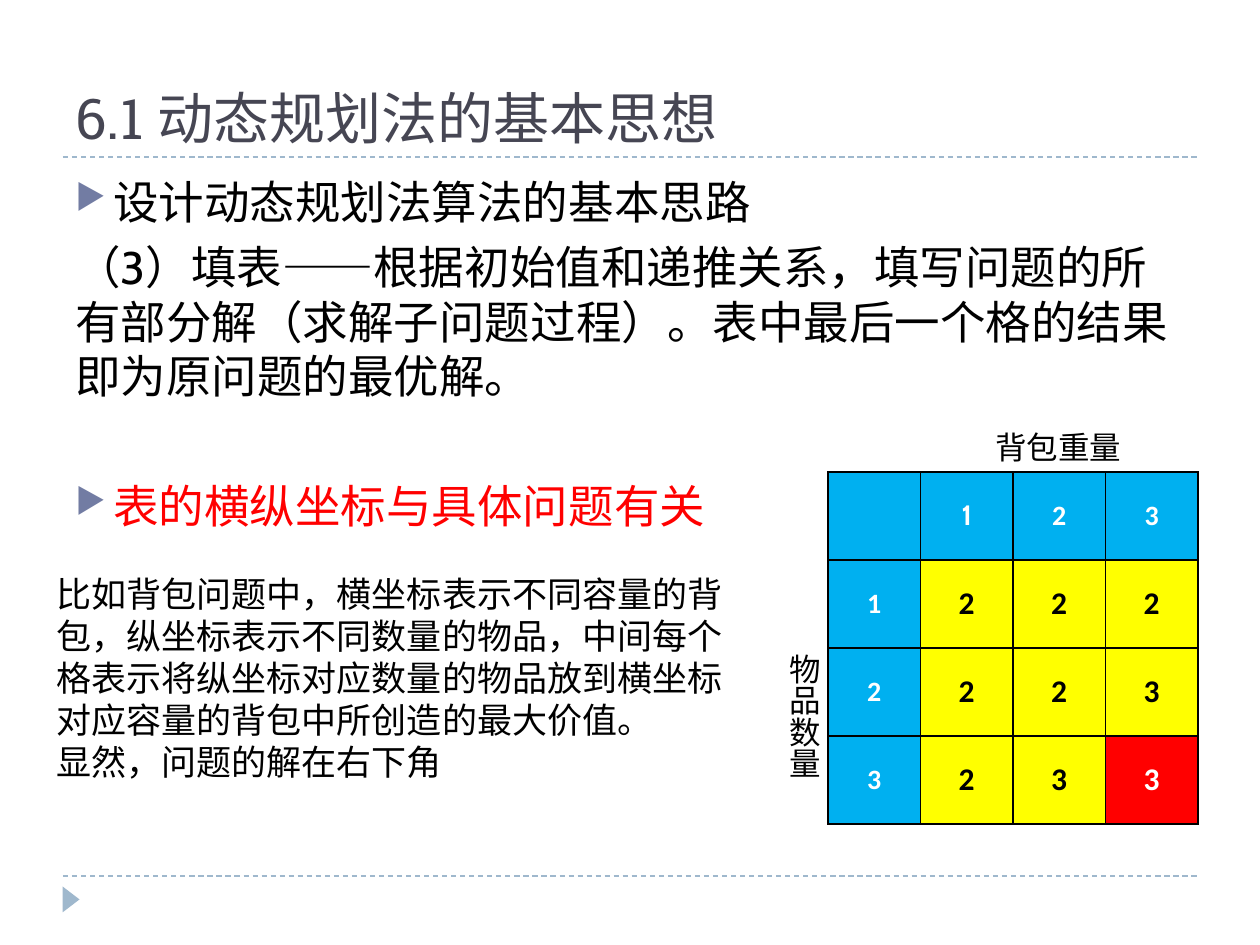
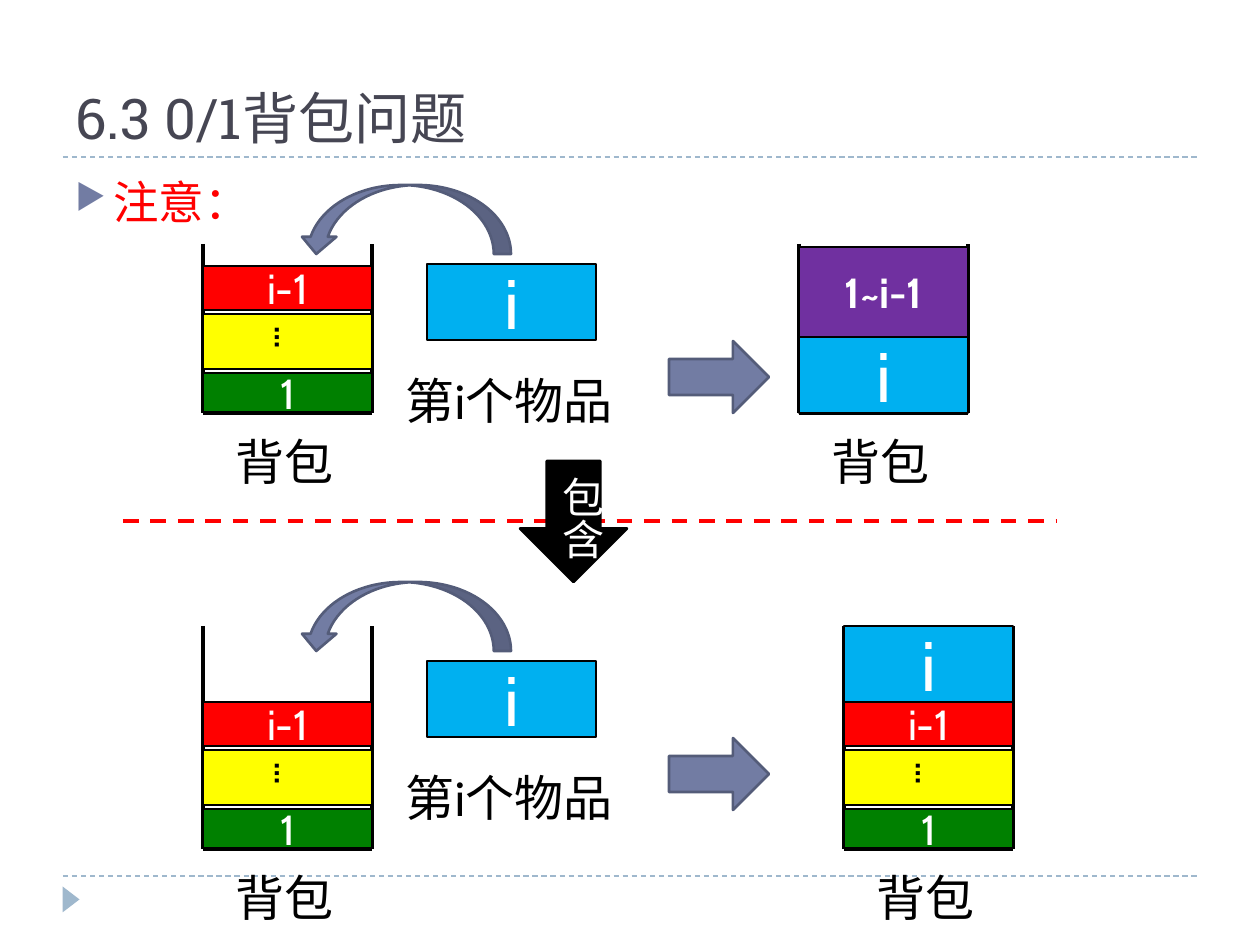
import dataclasses
import itertools

import lxml.etree
import pptx
import pptx.dml.color
import pptx.enum.dml
import pptx.enum.shapes
import pptx.enum.text
import pptx.oxml
import pptx.oxml.ns
import pptx.util

PIXEL = 7257  # EMU in one pixel at 126 pixels to the inch
SHAPE = pptx.enum.shapes.MSO_SHAPE
ALIGN = pptx.enum.text.PP_ALIGN
ANCHOR = pptx.enum.text.MSO_ANCHOR
FIT = pptx.enum.text.MSO_AUTO_SIZE
Color = pptx.dml.color.RGBColor.from_string
Pt = pptx.util.Pt
qn = pptx.oxml.ns.qn


@dataclasses.dataclass(frozen=True)
class Theme:
    """Colours (RRGGBB) and type styles shared by the pages."""
    black: str = "000000"
    white: str = "FFFFFF"
    red: str = "FF0000"
    yellow: str = "FFFF00"
    green: str = "008000"
    purple: str = "7030A0"
    sky: str = "00B0F0"
    accent: str = "727CA3"
    accent_edge: str = "545C79"
    pale: str = "9FB8CD"
    heading: str = "464653"
    styles = {
        "title": {"name": "Roboto Slab", "size": Pt(32)},
        "body": {"name": "Cabin", "size": Pt(26)},
        "example": {"name": "Calibri", "size": Pt(20)},
        "axis": {"name": "Calibri", "size": Pt(18)},
        "label": {"name": "Calibri", "size": Pt(28)},
        "contain": {"name": "Calibri", "size": Pt(24)},
        "item": {"name": "Cabin", "size": Pt(40)},
        "layer": {"name": "Cabin", "size": Pt(24)},
        "layer_bold": {"name": "Cabin", "size": Pt(24), "bold": True},
        "dots": {"name": "Cabin", "size": Pt(18), "bold": True},
        "first_head": {"name": "Cabin", "size": Pt(16), "bold": True},
        "head": {"name": "Calibri", "size": Pt(16), "bold": True},
        "value": {"name": "Calibri", "size": Pt(18), "bold": True},
    }


theme = Theme()


def add_box(page, place, lines=(), style="body", color=theme.black, kind=None,
            fill=None, edge=None, wrap=True, vertical=False, **frame_format):
    """Add a preset shape, or a text box when kind is None, with its text."""
    place = [length * PIXEL for length in place]
    if kind is None:
        box = page.shapes.add_textbox(*place)
    else:
        box = page.shapes.add_shape(kind, *place)
        box.shadow.inherit = False
        box.fill.solid()
        box.fill.fore_color.rgb = Color(fill)
        if edge:
            box.line.color.rgb = Color(edge)
            box.line.width = Pt(1.5)
        else:
            box.line.fill.background()
    frame = box.text_frame
    for name, value in {"word_wrap": wrap, **frame_format}.items():
        setattr(frame, name, value)
    if vertical:
        frame._txBody.bodyPr.set("vert", "eaVert")
    for number, line in enumerate(lines):
        para = frame.paragraphs[0] if number == 0 else frame.add_paragraph()
        para.alignment = ALIGN.CENTER if kind else ALIGN.LEFT
        span = para.add_run()
        span.text = line
        for name, value in theme.styles[style].items():
            setattr(span.font, name, value)
        span.font.color.rgb = Color(color)
    return box


def add_line(page, start, end, color, width, dashed=False):
    """Add a straight line without a shadow."""
    ends = [length * PIXEL for length in (*start, *end)]
    line = page.shapes.add_connector(pptx.enum.shapes.MSO_CONNECTOR.STRAIGHT, *ends)
    line.line.color.rgb = Color(color)
    line.line.width = Pt(width)
    if dashed:
        line.line.dash_style = pptx.enum.dml.MSO_LINE.DASH
    lxml.etree.SubElement(line._element.spPr, qn("a:effectLst"))


deck = pptx.Presentation()
deck.slide_width = 1260 * PIXEL
deck.slide_height = 945 * PIXEL

# Each body line: text, colour, space before in points, bulleted
outlines = {
    "6.1 动态规划法的基本思想": [
        ("设计动态规划法算法的基本思路", theme.black, 6, True),
        ("（3）填表——根据初始值和递推关系，填写问题的所有部分解（求解子问题过程）。"
         "表中最后一个格的结果即为原问题的最优解。", theme.black, 6, False),
        ("表的横纵坐标与具体问题有关", theme.red, 43, True),
    ],
    "6.3 0/1背包问题": [("注意：", theme.red, 6, True)],
}
pages = []
for title, outline in outlines.items():
    page = deck.slides.add_slide(deck.slide_layouts[6])
    pages.append(page)
    for y in (876, 157):
        add_line(page, (63, y), (1197, y), theme.pale, 0.75, dashed=True)
    marker = add_box(page, (58, 891, 26, 17), kind=SHAPE.ISOSCELES_TRIANGLE, fill=theme.pale)
    marker.rotation = 90
    add_box(page, (63, 21, 1134, 136), [title], "title", theme.heading,
            vertical_anchor=ANCHOR.BOTTOM)
    body = add_box(page, (63, 168, 1134, 680), [line[0] for line in outline])
    for para, (_, color, space, bulleted) in zip(body.text_frame.paragraphs, outline):
        para.space_before = Pt(space)
        para.runs[0].font.color.rgb = Color(color)
        if bulleted:
            properties = para._p.get_or_add_pPr()
            properties.set("marL", str(38 * PIXEL))
            properties.set("indent", str(-38 * PIXEL))
            bullet_color = lxml.etree.SubElement(properties, qn("a:buClr"))
            lxml.etree.SubElement(bullet_color, qn("a:srgbClr"), val=theme.accent)
            lxml.etree.SubElement(properties, qn("a:buSzPct"), val="76000")
            lxml.etree.SubElement(properties, qn("a:buChar"), char="▶")

table_page, bag_page = pages

# Page 1: the filled table and its explanation
values = [
    ["", "1", "2", "3"],
    ["1", "2", "2", "2"],
    ["2", "2", "2", "3"],
    ["3", "2", "3", "3"],
]
size = len(values)
table = table_page.shapes.add_table(
    size, size, 828 * PIXEL, 472 * PIXEL, 370 * PIXEL, 352 * PIXEL).table
table.first_row = table.horz_banding = False
for row, column in itertools.product(range(size), repeat=2):
    cell = table.cell(row, column)
    cell.vertical_anchor = ANCHOR.MIDDLE
    if row == 0 or column == 0:
        style = "first_head" if (row, column) == (0, 1) else "head"
        fill, color = theme.sky, theme.white
    elif row == column == size - 1:
        style, fill, color = "value", theme.red, theme.white
    else:
        style, fill, color = "value", theme.yellow, theme.black
    para = cell.text_frame.paragraphs[0]
    para.alignment = ALIGN.CENTER
    if values[row][column]:
        span = para.add_run()
        span.text = values[row][column]
        for name, value in theme.styles[style].items():
            setattr(span.font, name, value)
        span.font.color.rgb = Color(color)
    properties = cell._tc.get_or_add_tcPr()
    for side in ("a:lnL", "a:lnR", "a:lnT", "a:lnB"):
        border = lxml.etree.SubElement(properties, qn(side), w=str(Pt(1)))
        border_fill = lxml.etree.SubElement(border, qn("a:solidFill"))
        lxml.etree.SubElement(border_fill, qn("a:srgbClr"), val=theme.black)
    cell.fill.solid()
    cell.fill.fore_color.rgb = Color(fill)

add_box(table_page, (44, 566, 725, 224), [
    "比如背包问题中，横坐标表示不同容量的背包，纵坐标表示不同数量的物品，"
    "中间每个格表示将纵坐标对应数量的物品放到横坐标对应容量的背包中所创造的最大价值。",
    "显然，问题的解在右下角",
], "example", auto_size=FIT.SHAPE_TO_FIT_TEXT)
add_box(table_page, (983, 422, 152, 50), ["背包重量"], "axis", wrap=False,
        auto_size=FIT.SHAPE_TO_FIT_TEXT)
add_box(table_page, (765, 641, 64, 140), ["物品数量"], "axis", wrap=False,
        vertical=True, auto_size=FIT.SHAPE_TO_FIT_TEXT)

# Page 2: putting item i into the bag, in two scenes
add_line(bag_page, (123, 521), (1057, 521), theme.red, 2.25, dashed=True)

# Each layer: text, height of its top above the bag bottom, height, fill, text colour, style
small_items = [
    ("1", 40, 39, theme.green, theme.white, "layer"),
    ("…", 99, 55, theme.yellow, theme.black, "dots"),
    ("i-1", 147, 44, theme.red, theme.white, "layer"),
]
merged_items = [
    ("i", 76, 76, theme.sky, theme.white, "item"),
    ("1~i-1", 166, 90, theme.purple, theme.white, "layer_bold"),
]
top_item = ("i", 223, 76, theme.sky, theme.white, "item")
bag_width = 169
# Each bag: left, top, bottom, layers
bags = [
    (203, 244, 413, small_items),
    (799, 244, 413, merged_items),
    (203, 626, 849, small_items),
    (844, 626, 849, [top_item] + small_items),
]
for left, top, bottom, layers in bags:
    right = left + bag_width
    corners = [(left, top), (left, bottom), (right, bottom), (right, top)]
    for start, end in itertools.pairwise(corners):
        add_line(bag_page, start, end, theme.black, 2.25)
    for text, rise, height, fill, color, style in layers:
        add_box(bag_page, (left, bottom - rise, bag_width, height), [text], style, color,
                SHAPE.RECTANGLE, fill, theme.black, vertical=text == "…",
                vertical_anchor=ANCHOR.MIDDLE)
    add_box(bag_page, (left + 20, bottom + 12, 125, 72), ["背包"], "label", wrap=False,
            auto_size=FIT.SHAPE_TO_FIT_TEXT)

for top in (185, 582):
    swing = add_box(bag_page, (299, top, 212, 69), kind=SHAPE.CURVED_UP_ARROW,
                    fill=theme.accent, edge=theme.accent_edge)
    swing.rotation = 180
    add_box(bag_page, (427, top + 79, bag_width, 76), ["i"], "item", theme.white,
            SHAPE.RECTANGLE, theme.sky, theme.black, vertical_anchor=ANCHOR.MIDDLE)
    add_box(bag_page, (393, top + 179, 234, 72), ["第i个物品"], "label")
    add_box(bag_page, (669, top + 156, 100, 72), kind=SHAPE.RIGHT_ARROW,
            fill=theme.accent, edge=theme.accent_edge)

add_box(bag_page, (520, 461, 107, 121), kind=SHAPE.DOWN_ARROW,
        fill=theme.black, edge=theme.black)
add_box(bag_page, (536, 464, 77, 97), ["包含"], "contain", theme.white, wrap=False,
        vertical=True, auto_size=FIT.SHAPE_TO_FIT_TEXT)

deck.save("out.pptx")
